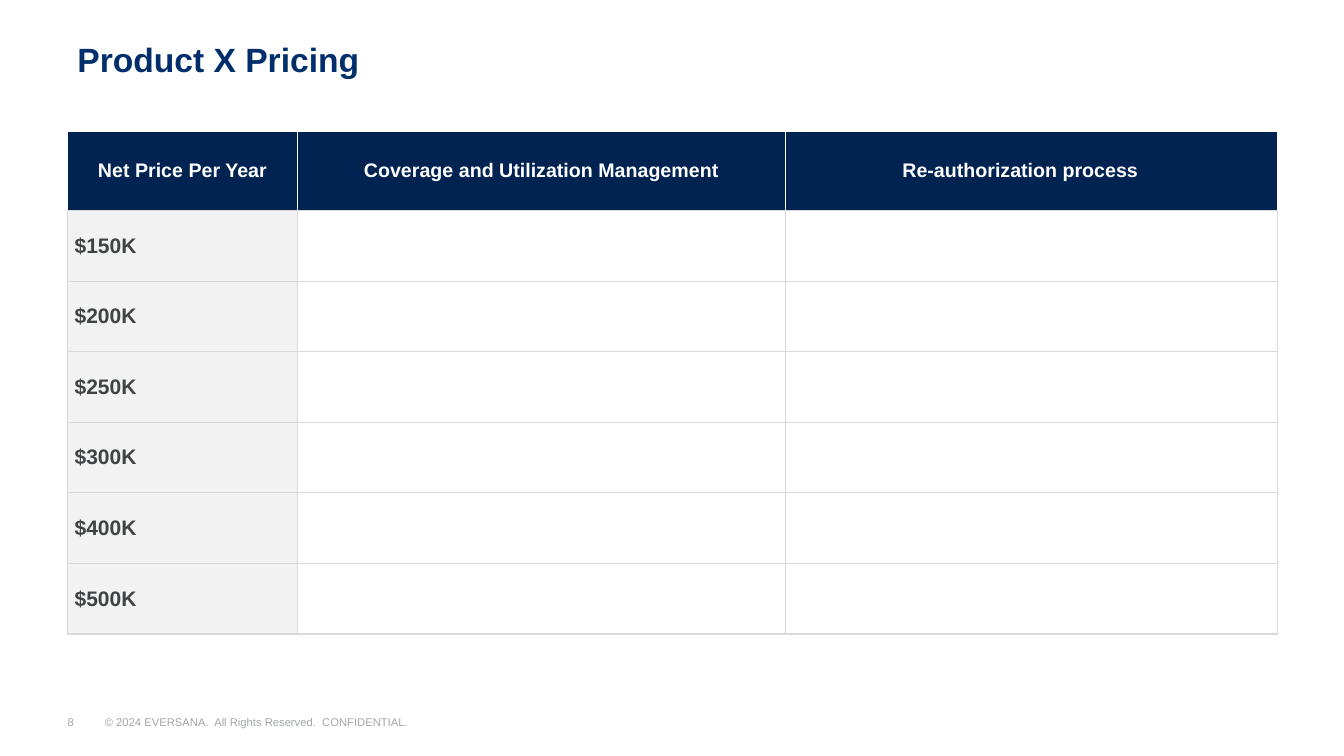
from lxml.etree import SubElement
from pptx import Presentation
from pptx.dml.color import RGBColor
from pptx.enum.text import MSO_ANCHOR, PP_ALIGN
from pptx.oxml.ns import qn
from pptx.util import Inches, Pt

COLORS = {
    "title": "002F6C",
    "header": "002352",
    "white": "FFFFFF",
    "price_fill": "F2F2F2",
    "price_text": "3F4344",
    "grid": "D9D9D9",
    "footer": "A2A5A8",
}
HEADINGS = ["Net Price Per Year", "Coverage and Utilization Management",
            "Re-authorization process"]
PRICES = ["$150K", "$200K", "$250K", "$300K", "$400K", "$500K"]
COLUMN_WIDTHS = [2.28, 4.84, 4.88]
HEADER_HEIGHT = 0.79


def color(name):
    return RGBColor.from_string(COLORS[name])


def style(paragraph, size, color_name, bold=False):
    font = paragraph.font
    font.name, font.size, font.bold = "Arial", Pt(size), bold
    font.color.rgb = color(color_name)


def add_text(slide, box, text, size, color_name, margins, bold=False,
             anchor=MSO_ANCHOR.TOP):
    """Margins are left, top, right, bottom in inches."""
    frame = slide.shapes.add_textbox(*map(Inches, box)).text_frame
    frame.word_wrap = True
    frame.vertical_anchor = anchor
    (frame.margin_left, frame.margin_top,
     frame.margin_right, frame.margin_bottom) = map(Inches, margins)
    frame.text = text
    style(frame.paragraphs[0], size, color_name, bold)


def set_borders(cell, **sides):
    properties = cell._tc.get_or_add_tcPr()
    for side in "LRTB":
        line = SubElement(properties, qn(f"a:ln{side}"), w=str(Pt(1)))
        fill = SubElement(line, qn("a:solidFill"))
        SubElement(fill, qn("a:srgbClr"), val=COLORS[sides[side]])


def fill_cell(cell, fill_name):
    cell.fill.solid()
    cell.fill.fore_color.rgb = color(fill_name)
    cell.vertical_anchor = MSO_ANCHOR.MIDDLE
    cell.margin_left = cell.margin_right = Inches(0.07)
    cell.margin_top = cell.margin_bottom = 0


def add_pricing_table(slide, box):
    left, top, width, height = box
    table = slide.shapes.add_table(len(PRICES) + 1, len(HEADINGS),
                                   *map(Inches, box)).table
    table.horz_banding = False
    for column, column_width in zip(table.columns, COLUMN_WIDTHS):
        column.width = Inches(column_width)
    price_height = (height - HEADER_HEIGHT) / len(PRICES)
    for index, row in enumerate(table.rows):
        row.height = Inches(price_height if index else HEADER_HEIGHT)

    for column, heading in enumerate(HEADINGS):
        cell = table.cell(0, column)
        set_borders(cell, L="white", R="white", T="white", B="grid")
        fill_cell(cell, "header")
        cell.text = heading
        paragraph = cell.text_frame.paragraphs[0]
        paragraph.alignment = PP_ALIGN.CENTER
        style(paragraph, 14, "white", bold=True)
    table.cell(0, 2).margin_right = Inches(0.29)

    for row, price in enumerate(PRICES, start=1):
        for column in range(len(HEADINGS)):
            cell = table.cell(row, column)
            set_borders(cell, L="grid", R="grid", T="grid", B="grid")
            fill_cell(cell, "white" if column else "price_fill")
        price_cell = table.cell(row, 0)
        price_cell.text = price
        style(price_cell.text_frame.paragraphs[0], 15, "price_text", bold=True)


def add_footer(slide, box):
    left, top, width, height = box
    notice = "© 2024 EVERSANA.  All Rights Reserved.  CONFIDENTIAL."
    for text, offset, text_width in [("8", 0, 0.54),
                                     (notice, 0.37, width - 0.37)]:
        add_text(slide, (left + offset, top, text_width, height), text, 8,
                 "footer", (0, 0.07, 0.13, 0.07), anchor=MSO_ANCHOR.MIDDLE)


def main():
    presentation = Presentation()
    presentation.slide_width = Inches(13.33)
    presentation.slide_height = Inches(7.5)
    slide = presentation.slides.add_slide(presentation.slide_layouts[6])
    add_text(slide, (0.67, 0.39, 12, 0.44), "Product X Pricing", 24, "title",
             (0.1, 0, 0, 0), bold=True)
    add_pricing_table(slide, (0.67, 1.3, 12, 4.99))
    add_footer(slide, (0.67, 6.99, 4.83, 0.34))
    presentation.save("out.pptx")


if __name__ == "__main__":
    main()
